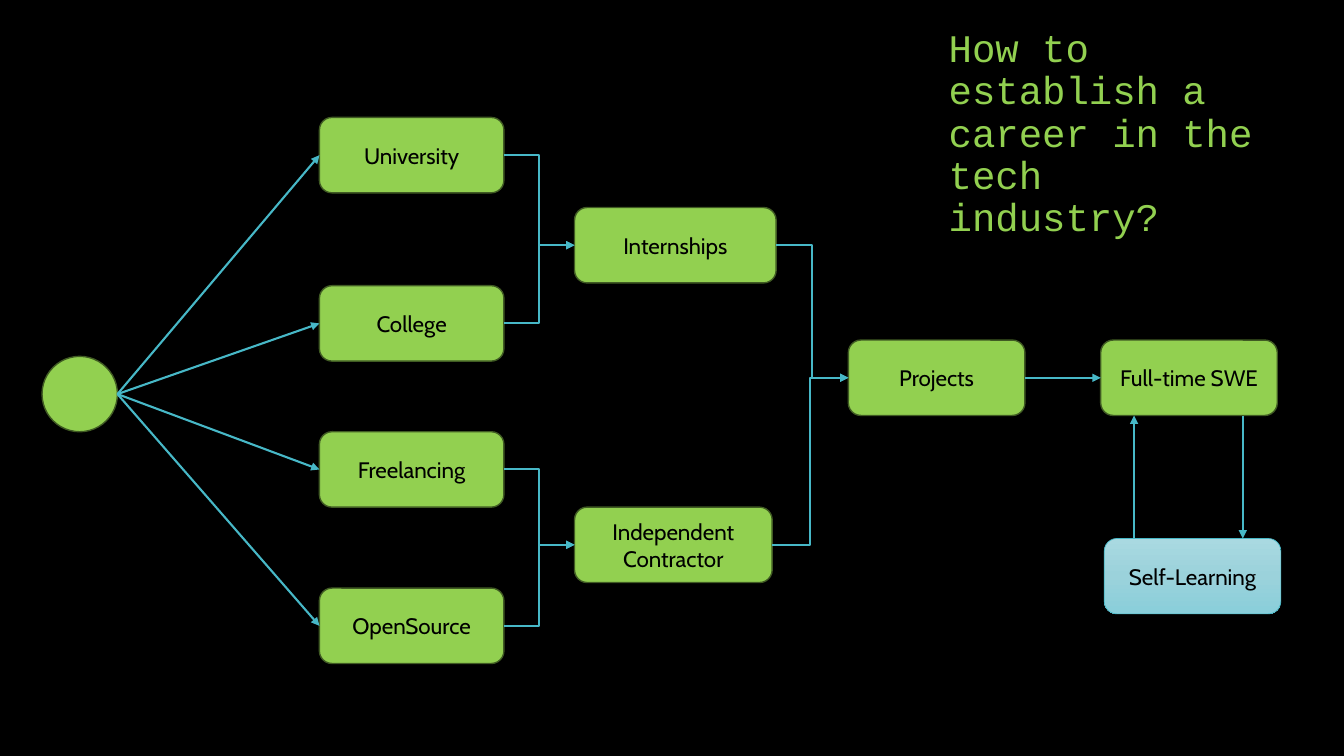
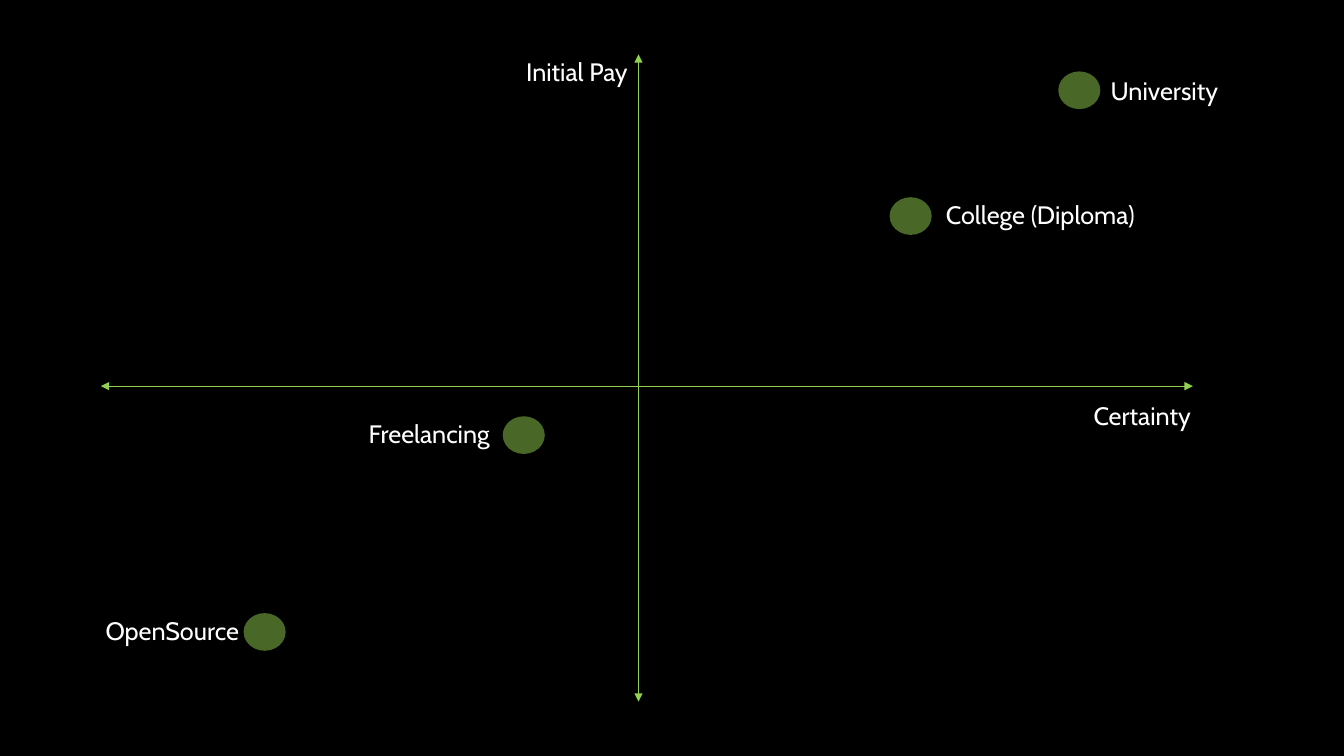
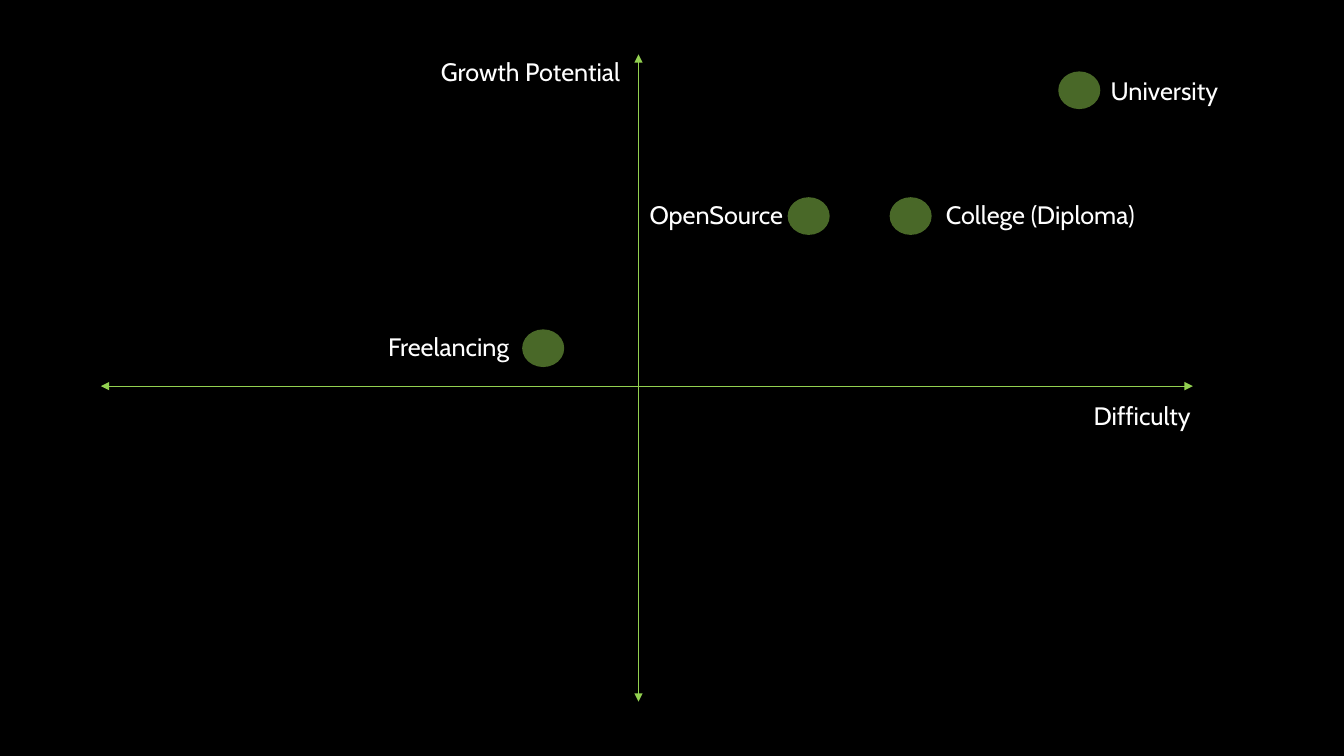
"""Build three slides on ways into a tech career."""
from copy import deepcopy
from dataclasses import dataclass

from lxml.etree import SubElement
from pptx import Presentation
from pptx.dml.color import RGBColor as Rgb
from pptx.enum.shapes import MSO_CONNECTOR as Link, MSO_SHAPE as Form
from pptx.enum.text import MSO_ANCHOR as Anchor, MSO_AUTO_SIZE as Fit, PP_ALIGN as Align
from pptx.oxml.ns import qn
from pptx.util import Cm, Pt

HUES = {
    "black": "000000", "white": "FFFFFF", "green": "92D050", "moss": "405B23",
    "teal": "47B8C7", "pale": "A9D9E1", "mid": "9BD2DB", "deep": "89CEDA",
}
BODY, HEAD = "Cabin", "Courier New"
TALL = 1.9
DOT_W, DOT_H = 1.06, 0.95


@dataclass(frozen=True)
class Box:
    name: str
    left: float
    top: float
    width: float


@dataclass(frozen=True)
class Tag:
    text: str
    left: float
    width: float


@dataclass(frozen=True)
class Side:
    shift: float
    width: float
    lift: float = 0.07


@dataclass(frozen=True)
class Dot:
    name: str
    left: float
    top: float


@dataclass(frozen=True)
class Graph:
    across: Tag
    upright: Tag
    dots: tuple[Dot, ...]


STARTS = [Box(name, 8.05, top, 4.65) for name, top in (
    ("University", 2.96), ("College", 7.2), ("Freelancing", 10.88), ("OpenSource", 14.82))]
STEPS = [
    Box("Independent Contractor", 14.48, 12.78, 4.98),
    Box("Internships", 14.48, 5.23, 5.08),
    Box("Projects", 21.38, 8.57, 4.45),
    Box("Full-time SWE", 27.74, 8.57, 4.45),
    Box("Self-Learning", 27.83, 13.57, 4.45),
]
BENDS = [
    ("University", "Internships"), ("College", "Internships"),
    ("Freelancing", "Independent Contractor"), ("OpenSource", "Independent Contractor"),
    ("Internships", "Projects"), ("Independent Contractor", "Projects"),
]
SIDES = {
    "University": Side(1.07, 3.23, 0.03),
    "College (Diploma)": Side(1.17, 5.36),
    "Freelancing": Side(-3.63, 3.65),
    "OpenSource": Side(-3.73, 3.92),
}
TOPS = (Dot("University", 26.67, 1.8), Dot("College (Diploma)", 22.42, 4.97))
GRAPHS = [
    Graph(Tag("Certainty", 27.31, 2.97), Tag("Initial Pay", 13.01, 3.12),
          TOPS + (Dot("Freelancing", 12.67, 10.49), Dot("OpenSource", 6.14, 15.45))),
    Graph(Tag("Difficulty", 27.31, 2.95), Tag("Growth Potential", 10.86, 5.16),
          TOPS + (Dot("Freelancing", 13.16, 8.3), Dot("OpenSource", 19.85, 4.97))),
]


def hue(name: str) -> Rgb:
    """Return a named colour."""
    return Rgb.from_string(HUES[name])


def write(shape, text: str, *, size: float, ink: str, font: str = BODY, align=Align.LEFT,
          anchor=Anchor.TOP, wrap: bool = True, fit=Fit.NONE, pitch: float = 1.0) -> None:
    """Put formatted text in a shape."""
    frame = shape.text_frame
    frame.word_wrap, frame.auto_size, frame.vertical_anchor = wrap, fit, anchor
    par = frame.paragraphs[0]
    par.text, par.alignment, par.line_spacing = text, align, pitch
    par.font.name, par.font.size = font, Pt(size)
    par.font.color.rgb = hue(ink)


def form(slide, kind, left: float, top: float, width: float, height: float):
    """Add a green shape with a thin dark edge."""
    shape = slide.shapes.add_shape(kind, Cm(left), Cm(top), Cm(width), Cm(height))
    shape.shadow.inherit = False
    shape.fill.solid()
    shape.fill.fore_color.rgb = hue("green")
    shape.line.color.rgb = hue("moss")
    shape.line.width = Pt(1)
    return shape


def block(slide, box: Box):
    """Add one step of the flow."""
    shape = form(slide, Form.ROUNDED_RECTANGLE, box.left, box.top, box.width, TALL)
    write(shape, box.name, size=16, ink="black", align=Align.CENTER, anchor=Anchor.MIDDLE)
    return shape


def shade(shape) -> None:
    """Give a shape the teal gradient."""
    fill = shape.fill
    fill.gradient()
    fill.gradient_angle = 270
    first = next(shape.element.spPr.iter(qn("a:gs")))
    first.addnext(deepcopy(first))
    for stop, place, name in zip(fill.gradient_stops, (0, 0.5, 1), ("pale", "mid", "deep")):
        stop.position = place
        stop.color.rgb = hue(name)
    shape.line.color.rgb = hue("teal")
    shape.line.width = Pt(0.5)


def arrow(slide, start: tuple, end: tuple, *, kind=Link.STRAIGHT, ink: str = "teal",
          width: float = 1.5, both: bool = False):
    """Add an arrow between two points."""
    line = slide.shapes.add_connector(kind, *start, *end)
    line.line.color.rgb = hue(ink)
    line.line.width = Pt(width)
    props = line.element.spPr
    for tip in ("a:headEnd", "a:tailEnd") if both else ("a:tailEnd",):
        SubElement(props.find(qn("a:ln")), qn(tip), type="triangle")
    SubElement(props, qn("a:effectLst"))
    return line


def port(shape, right: bool) -> tuple:
    """Return the middle of a shape's right or left side."""
    return shape.left + shape.width * right, shape.top + shape.height // 2


def join(slide, start, end, kind=Link.STRAIGHT) -> None:
    """Join the right of one block to the left of another."""
    line = arrow(slide, port(start, True), port(end, False), kind=kind)
    line.begin_connect(start, 3)
    line.end_connect(end, 1)


def label(slide, text: str, left: float, top: float, width: float) -> None:
    """Add a white label on one line."""
    box = slide.shapes.add_textbox(Cm(left), Cm(top), Cm(width), Cm(1.03))
    write(box, text, size=18, ink="white", wrap=False, fit=Fit.SHAPE_TO_FIT_TEXT)


def flow(slide) -> None:
    """Draw the career flow."""
    title = slide.shapes.add_textbox(Cm(23.66), Cm(1.09), Cm(8.66), Cm(5.08))
    write(title, "How to establish a career in the tech industry?", size=27.9, ink="green",
          font=HEAD, anchor=Anchor.BOTTOM, pitch=0.9)
    steps = {box.name: block(slide, box) for box in STARTS + STEPS}
    root = form(slide, Form.OVAL, 1.06, 8.98, TALL, TALL)
    for box in STARTS:
        end = steps[box.name]
        arrow(slide, port(root, True), port(end, False)).end_connect(end, 1)
    for start, end in BENDS:
        join(slide, steps[start], steps[end], Link.ELBOW)
    job, study = steps["Full-time SWE"], steps["Self-Learning"]
    join(slide, steps["Projects"], job)
    shade(study)
    base = job.top + job.height
    arrow(slide, (Cm(28.58), study.top), (Cm(28.58), base))
    arrow(slide, (Cm(31.32), base), (Cm(31.32), study.top))


def plot(slide, graph: Graph) -> None:
    """Draw two axes and the dots between them."""
    for start, end in (((2.54, 9.73), (30.06, 9.73)), ((16.09, 1.37), (16.09, 17.68))):
        arrow(slide, tuple(map(Cm, start)), tuple(map(Cm, end)),
              ink="green", width=0.5, both=True)
    for tag, top in ((graph.across, 9.96), (graph.upright, 1.3)):
        label(slide, tag.text, tag.left, top, tag.width)
    for dot in graph.dots:
        shape = form(slide, Form.OVAL, dot.left, dot.top, DOT_W, DOT_H)
        shape.line.fill.background()
        tint = next(shape.element.spPr.iter(qn("a:srgbClr")))
        SubElement(tint, qn("a:alpha"), val="50000")
        side = SIDES[dot.name]
        label(slide, dot.name, dot.left + side.shift, dot.top - side.lift, side.width)


def main() -> None:
    """Build and save the deck."""
    deck = Presentation()
    deck.slide_width, deck.slide_height = Cm(33.87), Cm(19.05)
    back = deck.slide_master.background.fill
    back.solid()
    back.fore_color.rgb = hue("black")
    blank = deck.slide_layouts[6]
    flow(deck.slides.add_slide(blank))
    for graph in GRAPHS:
        plot(deck.slides.add_slide(blank), graph)
    deck.save("out.pptx")


if __name__ == "__main__":
    main()
